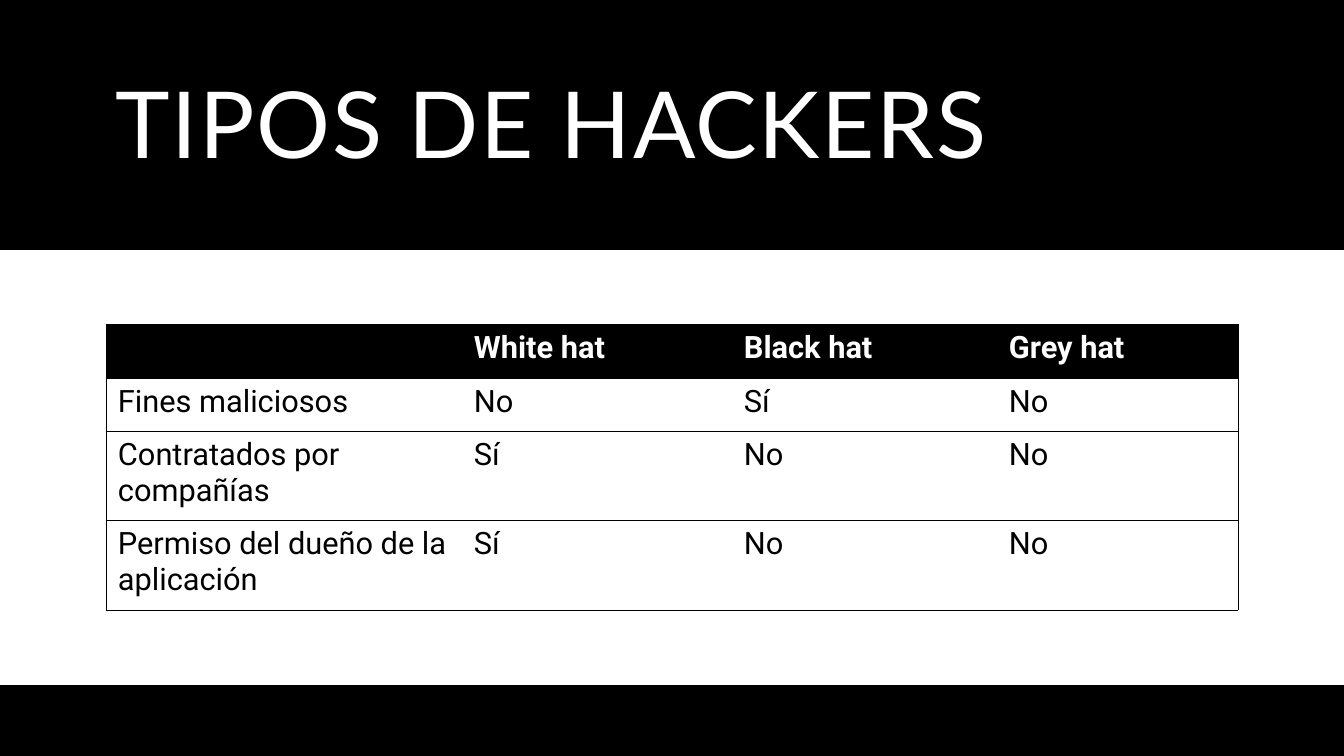
from dataclasses import dataclass

from lxml import etree
from pptx import Presentation
from pptx import util as u
from pptx.dml.color import RGBColor
from pptx.enum import shapes, text
from pptx.oxml import ns

SLIDE_W, SLIDE_H = 1344, 756
EMU_PER_PX = 12192000 / SLIDE_W


@dataclass(frozen=True)
class Theme:
    dark: str = "000000"
    light: str = "FFFFFF"
    title_font: str = "Lato"
    body_font: str = "Roboto"
    title_size: int = 66
    body_size: int = 22
    title_spacing: str = "120"
    rule_width: float = 0.5


THEME = Theme()

COLUMN_WIDTHS = [356, 270, 265, 241]
ROW_HEIGHTS = [54, 53, 89, 90]
HACKER_TYPES = [
    ["", "White hat", "Black hat", "Grey hat"],
    ["Fines maliciosos", "No", "Sí", "No"],
    ["Contratados por compañías", "Sí", "No", "No"],
    ["Permiso del dueño de la aplicación", "Sí", "No", "No"],
]


def px(n):
    return u.Emu(round(n * EMU_PER_PX))


def rgb(value):
    return RGBColor.from_string(value)


def style(p, font, size, color, bold=False):
    p.font.name = font
    p.font.size = u.Pt(size)
    p.font.color.rgb = rgb(color)
    p.font.bold = bold


def add_band(slide, top, height, color):
    sp = slide.shapes.add_shape(
        shapes.MSO_SHAPE.RECTANGLE, 0, px(top), px(SLIDE_W), px(height))
    sp.shadow.inherit = False
    sp.fill.solid()
    sp.fill.fore_color.rgb = rgb(color)
    sp.line.fill.background()


def add_title(slide, words, left, top, width, height):
    sp = slide.shapes.add_textbox(px(left), px(top), px(width), px(height))
    tf = sp.text_frame
    tf.word_wrap = True
    tf.vertical_anchor = text.MSO_ANCHOR.MIDDLE
    p = tf.paragraphs[0]
    p.line_spacing = 0.9
    style(p, THEME.title_font, THEME.title_size, THEME.light)
    r = p.add_run()
    r.text = words
    r._r.get_or_add_rPr().set("spc", THEME.title_spacing)


def set_borders(cell, visible_sides):
    tcPr = cell._tc.get_or_add_tcPr()
    for side in "LRTB":
        ln = etree.SubElement(tcPr, ns.qn(f"a:ln{side}"),
                              w=str(u.Pt(THEME.rule_width)))
        if side in visible_sides:
            fill = etree.SubElement(ln, ns.qn("a:solidFill"))
            etree.SubElement(fill, ns.qn("a:srgbClr"), val=THEME.dark)
        else:
            etree.SubElement(ln, ns.qn("a:noFill"))


def fill_cell(cell, words, is_header, sides):
    set_borders(cell, sides)
    cell.fill.solid()
    cell.fill.fore_color.rgb = rgb(THEME.dark if is_header else THEME.light)
    cell.margin_left = cell.margin_right = px(12)
    cell.margin_top = cell.margin_bottom = px(6)
    cell.text = words
    style(cell.text_frame.paragraphs[0], THEME.body_font, THEME.body_size,
          THEME.light if is_header else THEME.dark, bold=is_header)


def add_comparison(slide, rows, left, top):
    table = slide.shapes.add_table(
        len(rows), len(rows[0]), px(left), px(top),
        px(sum(COLUMN_WIDTHS)), px(sum(ROW_HEIGHTS))).table
    table.horz_banding = False
    for column, width in zip(table.columns, COLUMN_WIDTHS):
        column.width = px(width)
    for row, height in zip(table.rows, ROW_HEIGHTS):
        row.height = px(height)

    # Rules between rows, and an outer frame without inner verticals
    last = len(COLUMN_WIDTHS) - 1
    for i, row in enumerate(rows):
        for j, words in enumerate(row):
            sides = "TB" + ("L" if j == 0 else "") + ("R" if j == last else "")
            fill_cell(table.cell(i, j), words, i == 0, sides)


def main():
    prs = Presentation()
    prs.slide_width, prs.slide_height = px(SLIDE_W), px(SLIDE_H)
    slide = prs.slides.add_slide(prs.slide_layouts[6])

    # Dark backdrop with a light content band
    add_band(slide, 0, SLIDE_H, THEME.dark)
    add_band(slide, 250, 435, THEME.light)

    # Title and comparison table
    add_title(slide, "TIPOS DE HACKERS", 106, 35, 1132, 188)
    add_comparison(slide, HACKER_TYPES, 106, 324)

    prs.save("out.pptx")


if __name__ == "__main__":
    main()
